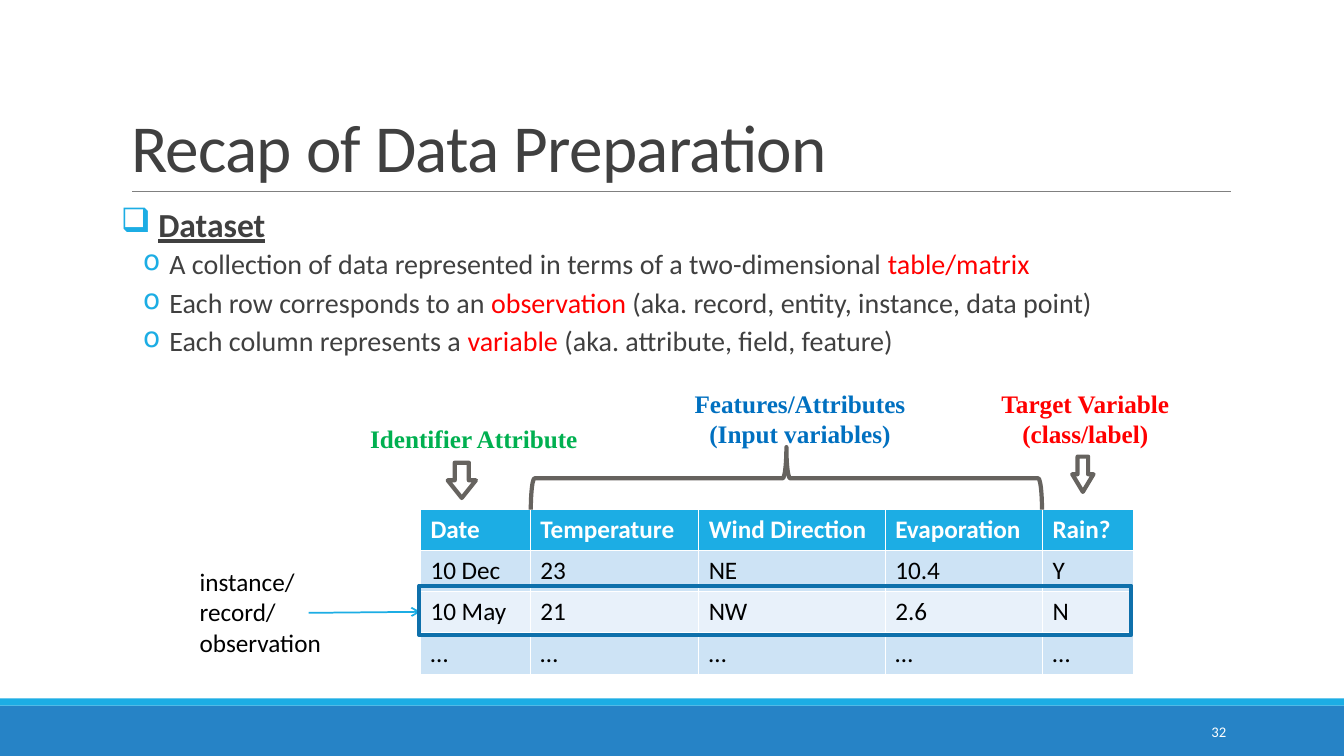
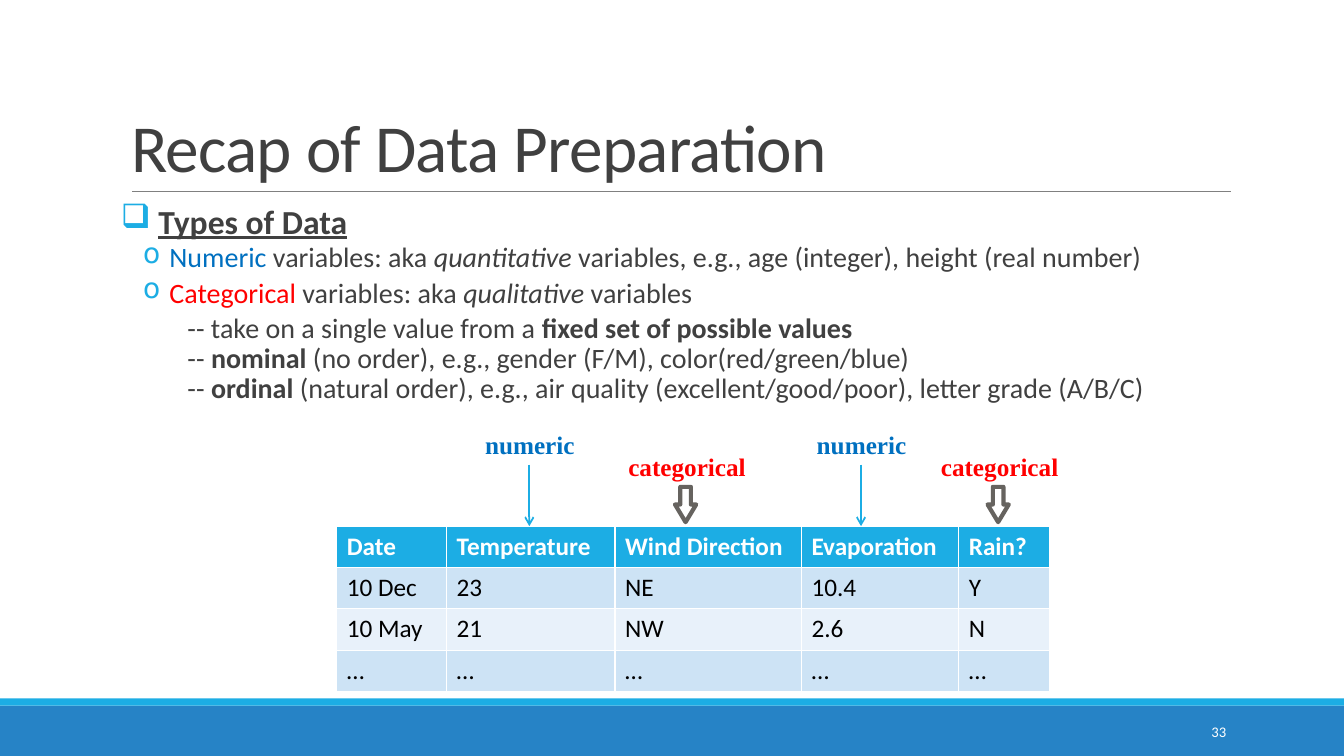
from lxml.etree import SubElement
from pptx import Presentation
from pptx.dml.color import RGBColor
from pptx.enum.shapes import MSO_CONNECTOR, MSO_SHAPE
from pptx.enum.text import MSO_ANCHOR, MSO_AUTO_SIZE, PP_ALIGN
from pptx.oxml.ns import qn
from pptx.util import Inches, Pt

COLORS = {
    name: RGBColor.from_string(value)
    for name, value in {
        "white": "FFFFFF", "black": "000000", "text": "404040", "rule": "808080",
        "band": "2683C6", "accent": "1CADE4", "outline": "0E70AB", "gray": "66635F",
        "red": "FF0000", "blue": "0070C0", "green": "00B050",
        "odd_row": "CDE3F5", "even_row": "E8F1FA",
    }.items()
}
BODY_FONT, LABEL_FONT = "Calibri", "Times New Roman"

TABLE_ROWS = [
    ["Date", "Temperature", "Wind Direction", "Evaporation", "Rain?"],
    ["10 Dec", "23", "NE", "10.4", "Y"],
    ["10 May", "21", "NW", "2.6", "N"],
    ["…"] * 5,
]
COLUMN_WIDTHS = [1.09, 1.67, 1.85, 1.56, 0.9]
ROW_FILLS = ["accent", "odd_row", "even_row", "odd_row"]
ROW_HEIGHT = 0.41

# Paragraph levels: left margin, first-line indent, bullet, size, space before, space after
LEVELS = {
    "heading": (0.37, -0.37, "❑", 24, 0, 2),
    "point": (0.48, -0.26, "o", 20, 2, 4),
    "detail": (0.66, 0, None, 20, 2, 0),
}

# Labels: lines, left, top, width, colour. Block arrows: centre, top, width.
SLIDES = [
    {
        "number": "32",
        "line_spacing": 0.9,
        "body": [
            ("heading", [("Dataset", "heading")]),
            ("point", [("A collection of data represented in terms of a two-dimensional ", ""),
                       ("table/matrix", "red")]),
            ("point", [("Each row corresponds to an ", ""), ("observation", "red"),
                       (" (aka. record, entity, instance, data point)", "")]),
            ("point", [("Each column represents a ", ""), ("variable", "red"),
                       (" (aka. attribute, field, feature)", "")]),
        ],
        "table": (4.17, 5.05),
        "labels": [
            (["Features/Attributes", "(Input variables)"], 6.15, 3.8, 3.57, "blue"),
            (["Target Variable", "(class/label)"], 9.85, 3.8, 1.83, "red"),
            (["Identifier Attribute"], 3.5, 4.15, 2.4, "green"),
        ],
        "block_arrows": [(4.58, 4.59, 0.28), (10.74, 4.53, 0.21)],
        "line_arrows": [(3.06, 6.08, 4.17, 6.07)],
    },
    {
        "number": "33",
        "line_spacing": 0.8,
        "body": [
            ("heading", [("Types of Data", "heading")]),
            ("point", [("Numeric", "blue"), (" variables: aka ", ""), ("quantitative", "italic"),
                       (" variables, e.g., age (integer), height (real number)", "")]),
            ("point", [("Categorical", "red"), (" variables: aka ", ""),
                       ("qualitative", "italic"), (" variables", "")]),
            ("detail", [("-- take on a single value from a ", ""),
                        ("fixed set of possible values", "bold")]),
            ("detail", [("-- ", ""), ("nominal", "bold"),
                        (" (no order), e.g., gender (F/M), color(red/green/blue)", "")]),
            ("detail", [("-- ", ""), ("ordinal", "bold"),
                        (" (natural order), e.g., air quality (excellent/good/poor),"
                         " letter grade (A/B/C)", "")]),
        ],
        "table": (3.34, 5.22),
        "labels": [
            (["numeric"], 4.69, 4.21, 1.13, "blue"),
            (["numeric"], 7.98, 4.21, 1.13, "blue"),
            (["categorical"], 5.9, 4.43, 1.83, "red"),
            (["categorical"], 9, 4.43, 1.83, "red"),
        ],
        "block_arrows": [(6.8, 4.83, 0.21), (9.9, 4.83, 0.21)],
        "line_arrows": [(x, 4.61, x, 5.22) for x in (5.25, 8.54)],
    },
]


def add_text(slide, box, lines, color, font=BODY_FONT, size=18, bold=False,
             align=PP_ALIGN.LEFT, anchor=MSO_ANCHOR.TOP, inset=0.05):
    """Add a text box with one evenly formatted paragraph per line."""
    frame = slide.shapes.add_textbox(*map(Inches, box)).text_frame
    frame.word_wrap = True
    frame.vertical_anchor = anchor
    frame.margin_left = frame.margin_right = Inches(inset)
    frame.margin_top = frame.margin_bottom = Inches(0.05)
    frame.text = "\n".join(lines)
    for paragraph in frame.paragraphs:
        paragraph.alignment = align
        paragraph.font.name = font
        paragraph.font.size = Pt(size)
        paragraph.font.bold = bold
        paragraph.font.color.rgb = COLORS[color]
    return frame


def add_shape(slide, kind, box, fill=None, line=None):
    shape = slide.shapes.add_shape(kind, *map(Inches, box))
    shape.shadow.inherit = False
    if fill:
        shape.fill.solid()
        shape.fill.fore_color.rgb = COLORS[fill]
    else:
        shape.fill.background()
    if line:
        shape.line.color.rgb = COLORS[line]
        shape.line.width = Pt(3)
    else:
        shape.line.fill.background()
    return shape


presentation = Presentation()
presentation.slide_width = Inches(13.33)
presentation.slide_height = Inches(7.5)

for content in SLIDES:
    slide = presentation.slides.add_slide(presentation.slide_layouts[5])

    # Bands, title and page number
    add_shape(slide, MSO_SHAPE.RECTANGLE, (0, 7, 13.33, 0.5), fill="band")
    add_shape(slide, MSO_SHAPE.RECTANGLE, (0, 6.93, 13.33, 0.07), fill="accent")
    title = slide.shapes.title
    title.left, title.top, title.width, title.height = map(Inches, (1.2, 0.31, 11, 1.59))
    title.text = "Recap of Data Preparation"
    title.text_frame.auto_size = MSO_AUTO_SIZE.NONE
    title.text_frame.vertical_anchor = MSO_ANCHOR.BOTTOM
    paragraph = title.text_frame.paragraphs[0]
    paragraph.alignment = PP_ALIGN.LEFT
    paragraph.line_spacing = 0.85
    paragraph.font.name = BODY_FONT
    paragraph.font.size = Pt(48)
    paragraph.font.color.rgb = COLORS["text"]
    paragraph.runs[0]._r.get_or_add_rPr().set("spc", "-50")
    add_text(slide, (10.83, 7.06, 1.43, 0.4), [content["number"]], "white", size=10.5,
             align=PP_ALIGN.RIGHT, anchor=MSO_ANCHOR.MIDDLE, inset=0.1)

    # Body text
    frame = add_text(slide, (1.2, 2.02, 11, 2.1), [""] * len(content["body"]), "text", inset=0)
    for paragraph, (level, runs) in zip(frame.paragraphs, content["body"]):
        margin, indent, bullet, size, before, after = LEVELS[level]
        paragraph.line_spacing = content["line_spacing"]
        paragraph.space_before = Pt(before)
        paragraph.space_after = Pt(after)
        paragraph.font.size = Pt(size)
        properties = paragraph._p.get_or_add_pPr()
        properties.set("marL", str(Inches(margin)))
        properties.set("indent", str(Inches(indent)))
        if bullet:
            bullet_color = SubElement(properties, qn("a:buClr"))
            SubElement(bullet_color, qn("a:srgbClr")).set("val", str(COLORS["accent"]))
            SubElement(properties, qn("a:buChar")).set("char", bullet)
            default_font = properties.find(qn("a:defRPr"))
            properties.append(default_font)
        for text, style in runs:
            run = paragraph.add_run()
            run.text = text
            run.font.bold = style in ("bold", "heading")
            run.font.italic = style == "italic"
            run.font.underline = style == "heading"
            run.font.color.rgb = COLORS.get(style, COLORS["text"])

    # Data table
    table_left, table_top = content["table"]
    table = slide.shapes.add_table(
        len(TABLE_ROWS), len(COLUMN_WIDTHS), Inches(table_left), Inches(table_top),
        Inches(sum(COLUMN_WIDTHS)), Inches(ROW_HEIGHT * len(TABLE_ROWS))).table
    for column, width in zip(table.columns, COLUMN_WIDTHS):
        column.width = Inches(width)
    for row_index, values in enumerate(TABLE_ROWS):
        table.rows[row_index].height = Inches(ROW_HEIGHT)
        for column_index, value in enumerate(values):
            cell = table.cell(row_index, column_index)
            cell.text = value
            cell.fill.solid()
            cell.fill.fore_color.rgb = COLORS[ROW_FILLS[row_index]]
            font = cell.text_frame.paragraphs[0].font
            font.name = BODY_FONT
            font.size = Pt(18)
            font.bold = row_index == 0
            font.color.rgb = COLORS["black" if row_index else "white"]

    # Labels and arrows
    for lines, left, top, width, color in content["labels"]:
        add_text(slide, (left, top, width, 0.1 + 0.3 * len(lines)), lines, color,
                 font=LABEL_FONT, bold=True, align=PP_ALIGN.CENTER)
    for center, top, width in content["block_arrows"]:
        arrow = add_shape(slide, MSO_SHAPE.DOWN_ARROW,
                          (center - width / 2, top, width, 0.35), line="gray")
        arrow.adjustments[1] = 0.175 / width
    connectors = [(ends, "accent", 1.25, True) for ends in content["line_arrows"]]
    connectors.append(((1.31, 1.9, 12.21, 1.9), "rule", 0.5, False))
    for ends, color, weight, has_head in connectors:
        connector = slide.shapes.add_connector(MSO_CONNECTOR.STRAIGHT, *map(Inches, ends))
        connector.line.color.rgb = COLORS[color]
        connector.line.width = Pt(weight)
        if has_head:
            SubElement(connector.line._get_or_add_ln(), qn("a:tailEnd")).set("type", "arrow")
        SubElement(connector._element.spPr, qn("a:effectLst"))

# Marks found only on the first slide: features brace and highlighted record
first_slide = presentation.slides[0]
brace = add_shape(first_slide, MSO_SHAPE.RIGHT_BRACE, (7.49, 2.21, 0.62, 5.07), line="gray")
brace.rotation = 270
brace.adjustments[0] = 0.06
add_shape(first_slide, MSO_SHAPE.RECTANGLE, (4.16, 5.81, 7.06, 0.49), line="outline")
add_text(first_slide, (1.92, 5.56, 1.49, 1.02), ["instance/", "record/", "observation"],
         "black", anchor=MSO_ANCHOR.MIDDLE, inset=0.06)

presentation.save("out.pptx")
